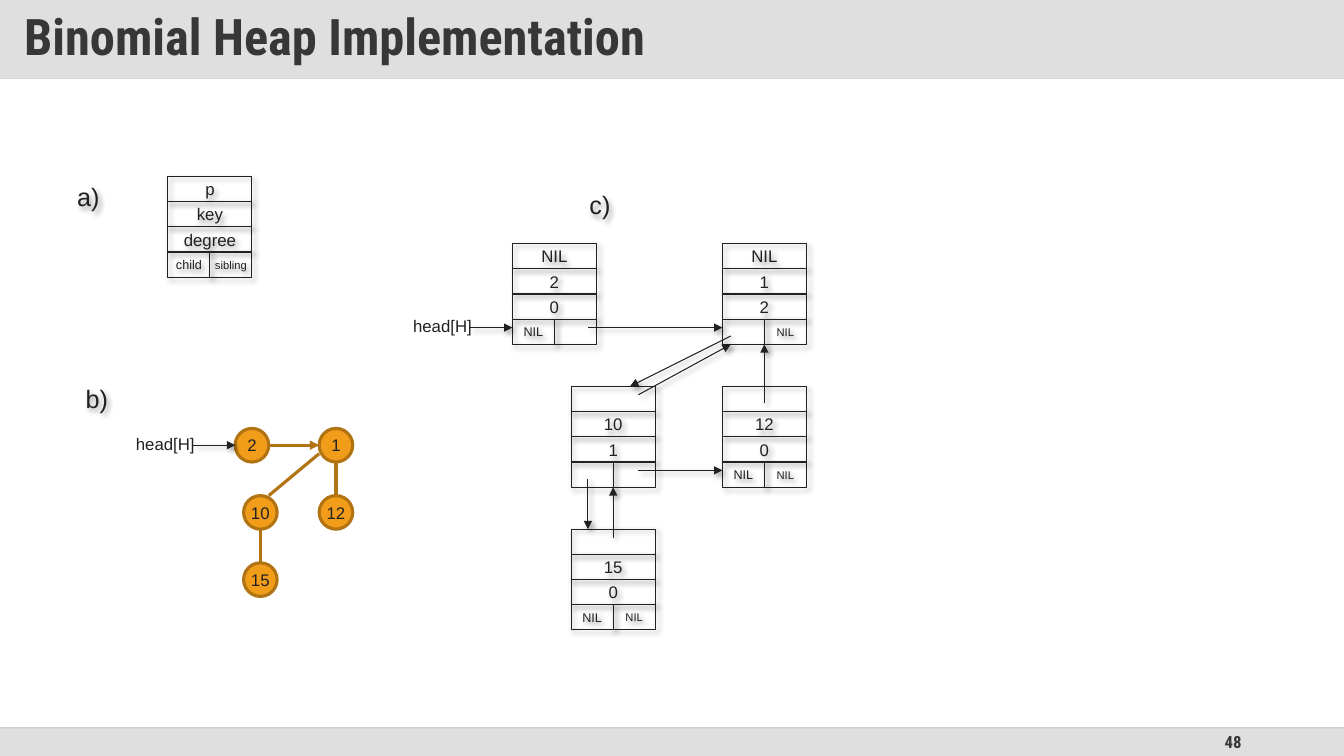
"""Builds the slide on binomial heap implementation on a grid of 160 columns and 90 rows."""
from typing import Any, NamedTuple

import pptx
import pptx.dml.color
import pptx.enum.shapes
import pptx.enum.text
import pptx.oxml
import pptx.oxml.ns
import pptx.util

COLS, ROWS = 160, 90
WIDTH, HEIGHT = pptx.util.Inches(13.33), pptx.util.Inches(7.5)
INK, GOLD, BROWN, GREY = "212121", "F19D19", "B27412", "373737"
BAR, FOOT = 9.36, 86.64
NODE_W, FIELD_H, CIRCLE = 10, 3, 4
SHAPE = pptx.enum.shapes.MSO_SHAPE
ALIGN = pptx.enum.text.PP_ALIGN
ANCHOR = pptx.enum.text.MSO_ANCHOR


class Record(NamedTuple):
    """A heap node drawn as a stack of fields above a child and a sibling cell."""
    col: float
    row: float
    fields: tuple[str, str, str]
    child: str = ""
    sibling: str = ""


class Vertex(NamedTuple):
    """A heap node drawn as a circle."""
    col: float
    row: float
    key: str


class Link(NamedTuple):
    """A straight line between two grid points."""
    start: tuple[float, float]
    end: tuple[float, float]
    color: str = INK
    width: float = 0.75
    arrow: bool = True
    shadow: bool = True
    alpha: int = 100


class Label(NamedTuple):
    """A free-standing text."""
    col: float
    row: float
    width: float
    height: float
    text: str
    size: float = 12
    shadow: bool = False


RECORDS = [
    Record(20, 21, ("p", "key", "degree"), "child", "sibling"),
    Record(61, 29, ("NIL", "2", "0"), "NIL"),
    Record(86, 29, ("NIL", "1", "2"), "", "NIL"),
    Record(68, 46, ("", "10", "1")),
    Record(86, 46, ("", "12", "0"), "NIL", "NIL"),
    Record(68, 63, ("", "15", "0"), "NIL", "NIL"),
]
VERTICES = [Vertex(28, 51, "2"), Vertex(38, 51, "1"), Vertex(38, 59, "12"),
            Vertex(29, 59, "10"), Vertex(29, 67, "15")]
RULES = [Link((0, BAR), (COLS, BAR), "D9D9D9", 1, False, False),
         Link((0, FOOT), (COLS, FOOT), "BFBFBF", 1, False, False, 70)]
EDGES = [Link((32, 53), (38, 53), BROWN, 2.25, True, False)] + [
    Link(start, end, BROWN, 2.25, False, False) for start, end in
    [((31, 63), (31, 67)), ((40, 55), (40, 59)), ((32, 59), (38, 54))]]
POINTERS = [Link(start, end) for start, end in [
    ((56, 39), (61, 39)), ((23, 53), (28, 53)), ((70, 39), (86, 39)),
    ((73, 64), (73, 58)), ((70, 57), (70, 63)), ((76, 56), (86, 56)),
    ((91, 48), (91, 41)), ((76, 47), (87, 41)), ((87, 40), (75, 46))]]
LABELS = [Label(48, 37, 10, 3.6, "head[H]"), Label(15, 51, 10, 3.6, "head[H]"),
          Label(8, 21, 9, 4.8, "a)", 18, True), Label(9, 45, 7, 4.8, "b)", 18, True),
          Label(69, 22, 11, 4.8, "c)", 18, True)]


def x(col: float) -> int:
    """Return the horizontal length of a number of columns."""
    return int(WIDTH * col / COLS)


def y(row: float) -> int:
    """Return the vertical length of a number of rows."""
    return int(HEIGHT * row / ROWS)


def rgb(color: str) -> pptx.dml.color.RGBColor:
    """Turn a hex string into a colour."""
    return pptx.dml.color.RGBColor.from_string(color)


def paint(fill: Any, color: str, alpha: int = 100) -> None:
    """Apply a solid colour with an opacity in percent."""
    fill.solid()
    fill.fore_color.rgb = rgb(color)
    if alpha < 100:
        clr = fill._xPr.find(".//" + pptx.oxml.ns.qn("a:srgbClr"))
        clr.append(pptx.oxml.parse_xml(
            f'<a:alpha {pptx.oxml.ns.nsdecls("a")} val="{alpha * 1000}"/>'))


def set_effect(s: Any, shadow: bool) -> None:
    """Give a shape a soft shadow or none at all."""
    outer = ('<a:outerShdw blurRad="50800" dist="38100" dir="2700000" algn="tl" rotWithShape="0">'
             '<a:srgbClr val="000000"><a:alpha val="40000"/></a:srgbClr></a:outerShdw>')
    s._element.spPr.append(pptx.oxml.parse_xml(
        f'<a:effectLst {pptx.oxml.ns.nsdecls("a")}>{outer if shadow else ""}</a:effectLst>'))


def add_text(s: Any, text: str, size: float, align: Any = ALIGN.LEFT, anchor: Any = ANCHOR.MIDDLE,
             wrap: bool = True, font: str = "Arial", color: str = INK, bold: bool = False) -> None:
    """Write one run of text into a shape."""
    tf = s.text_frame
    tf.word_wrap, tf.vertical_anchor = wrap, anchor
    p = tf.paragraphs[0]
    p.alignment = align
    r = p.add_run()
    r.text = text
    r.font.size, r.font.name, r.font.bold = pptx.util.Pt(size), font, bold
    r.font.color.rgb = rgb(color)


def add_box(slide: Any, kind: Any, col: float, row: float, width: float, height: float,
            fill: str = "", line: str = "", weight: float = 0.75, shadow: bool = False,
            alpha: int = 100) -> Any:
    """Add a preset shape on the grid."""
    s = slide.shapes.add_shape(kind, x(col), y(row), x(width), y(height))
    if fill:
        paint(s.fill, fill, alpha)
    else:
        s.fill.background()
    if line:
        paint(s.line.fill, line)
        s.line.width = pptx.util.Pt(weight)
    else:
        s.line.fill.background()
    set_effect(s, shadow)
    return s


def add_link(slide: Any, link: Link) -> None:
    """Draw a line, with an arrowhead if it has one."""
    s = slide.shapes.add_connector(
        pptx.enum.shapes.MSO_CONNECTOR.STRAIGHT,
        x(link.start[0]), y(link.start[1]), x(link.end[0]), y(link.end[1]))
    paint(s.line.fill, link.color, link.alpha)
    s.line.width = pptx.util.Pt(link.width)
    if link.arrow:
        s._element.spPr.find(pptx.oxml.ns.qn("a:ln")).append(pptx.oxml.parse_xml(
            f'<a:tailEnd {pptx.oxml.ns.nsdecls("a")} type="triangle"/>'))
    set_effect(s, link.shadow)


def add_record(slide: Any, record: Record) -> None:
    """Draw the three fields and two pointer cells of a record."""
    half = NODE_W / 2
    cells = [(0, i, NODE_W, text, 12) for i, text in enumerate(record.fields)]
    cells += [(0, 3, half, record.child, 9), (half, 3, half, record.sibling, 8)]
    for shift, i, width, text, size in cells:
        s = add_box(slide, SHAPE.RECTANGLE, record.col + shift, record.row + i * FIELD_H,
                    width, FIELD_H, line=INK, shadow=True)
        if text:
            add_text(s, text, size, ALIGN.CENTER, wrap=False)


def add_vertex(slide: Any, vertex: Vertex) -> None:
    """Draw a circle with its key."""
    s = add_box(slide, SHAPE.OVAL, vertex.col, vertex.row, CIRCLE, CIRCLE, GOLD, BROWN, 2.25)
    add_text(s, vertex.key, 12, ALIGN.CENTER, wrap=False)


def add_label(slide: Any, label: Label) -> None:
    """Place a text box."""
    s = slide.shapes.add_textbox(x(label.col), y(label.row), x(label.width), y(label.height))
    add_text(s, label.text, label.size, anchor=ANCHOR.TOP)
    set_effect(s, label.shadow)


def add_frame(slide: Any) -> None:
    """Draw the title bar, the footer and the slide number."""
    s = add_box(slide, SHAPE.ROUNDED_RECTANGLE, 0, FOOT, COLS, ROWS - FOOT, "DFDFDF")
    s.adjustments[0] = 0
    s = slide.shapes.add_textbox(x(113), y(FOOT), x(36), y(ROWS - FOOT))
    add_text(s, "48", 12, ALIGN.RIGHT, font="Roboto Condensed", color=GREY, bold=True)
    s = add_box(slide, SHAPE.RECTANGLE, 0, 0, COLS, BAR, "C0C0C0", alpha=50)
    add_text(s, "Binomial Heap Implementation", 36, font="Roboto Condensed", color=GREY, bold=True)
    tf = s.text_frame
    tf.margin_left = tf.margin_right = pptx.util.Inches(0.24)
    tf.margin_top = tf.margin_bottom = pptx.util.Inches(0.12)
    tf.paragraphs[0].line_spacing = 0.9


def main() -> None:
    """Build and save the slide."""
    prs = pptx.Presentation()
    prs.slide_width, prs.slide_height = WIDTH, HEIGHT
    slide = prs.slides.add_slide(prs.slide_layouts[6])
    add_frame(slide)
    for draw, items in [(add_link, RULES), (add_record, RECORDS), (add_vertex, VERTICES),
                        (add_link, EDGES + POINTERS), (add_label, LABELS)]:
        for item in items:
            draw(slide, item)
    prs.save("out.pptx")


if __name__ == "__main__":
    main()
